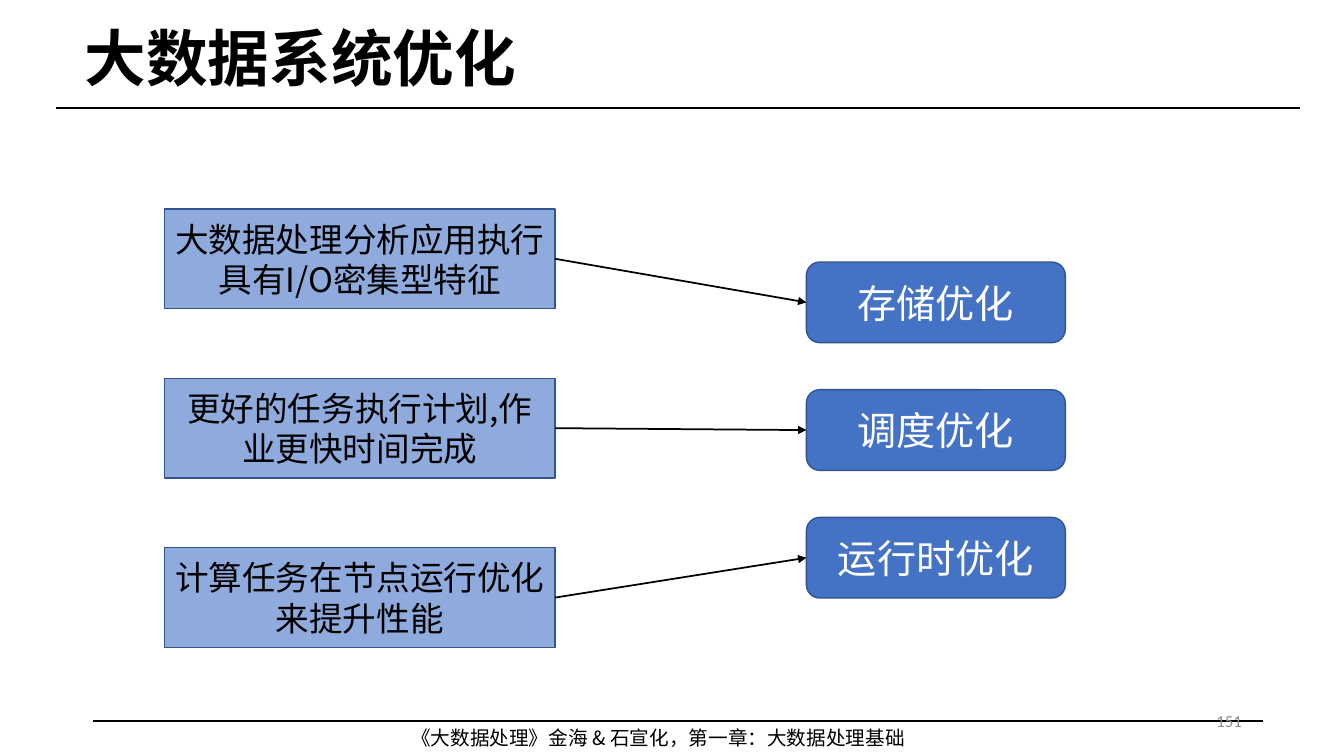
from dataclasses import dataclass

from lxml import etree
from pptx import Presentation
from pptx.dml.color import RGBColor
from pptx.enum import shapes, text
from pptx.oxml import ns
from pptx.util import Pt


@dataclass(frozen=True)
class Theme:
    ink: str = "000000"
    paper: str = "FFFFFF"
    need_fill: str = "8FAADC"
    goal_fill: str = "4472C4"
    border: str = "325491"
    muted: str = "8C8C8C"
    cjk: str = "Noto Sans CJK SC"
    title_font: str = "Arial"
    number_font: str = "Calibri"
    title_size: int = 44
    goal_size: int = 28
    need_size: int = 24
    footer_size: int = 14
    number_size: int = 12


theme = Theme()


def write(shape, words, size, color, align, font=theme.cjk, bold=False):
    """Put one wrapped, vertically centred paragraph into a shape."""
    frame = shape.text_frame
    frame.text = words
    frame.word_wrap = True
    frame.auto_size = text.MSO_AUTO_SIZE.NONE
    frame.vertical_anchor = text.MSO_ANCHOR.MIDDLE
    paragraph = frame.paragraphs[0]
    paragraph.alignment = align
    paragraph.font.size = Pt(size)
    paragraph.font.bold = bold
    paragraph.font.color.rgb = RGBColor.from_string(color)
    paragraph.font.name = font
    defaults = paragraph._p.pPr.find(ns.qn("a:defRPr"))
    etree.SubElement(defaults, ns.qn("a:ea"), typeface=theme.cjk)
    return paragraph


def add_line(x1, y1, x2, y2, width):
    line = slide.shapes.add_connector(
        shapes.MSO_CONNECTOR.STRAIGHT, Pt(x1), Pt(y1), Pt(x2), Pt(y2))
    line.line.color.rgb = RGBColor.from_string(theme.ink)
    line.line.width = Pt(width)
    etree.SubElement(line._element.spPr, ns.qn("a:effectLst"))
    return line


prs = Presentation()
prs.slide_width, prs.slide_height = Pt(960), Pt(540)
slide = prs.slides.add_slide(prs.slide_layouts[5])

# Title and footer
add_line(40.3, 77, 928.8, 77, 1.75)
add_line(66.2, 514.8, 902.2, 514.8, 1.25)

footer = slide.shapes.add_textbox(Pt(286.6), Pt(514.8), Pt(386.6), Pt(24.5))
write(footer, "《大数据处理》金海 & 石宣化，第一章：大数据处理基础",
      theme.footer_size, theme.ink, text.PP_ALIGN.LEFT)

title = slide.shapes.title
title.left, title.top, title.width, title.height = Pt(53.3), Pt(10.8), Pt(860.4), Pt(66.2)
heading = write(title, "大数据系统优化", theme.title_size, theme.ink,
                text.PP_ALIGN.LEFT, theme.title_font, bold=True)
heading.line_spacing = 0.9

# Each need on the left leads to an optimisation on the right
pairs = [
    ("大数据处理分析应用执行具有I/O密集型特征", "存储优化"),
    ("更好的任务执行计划,作业更快时间完成", "调度优化"),
    ("计算任务在节点运行优化来提升性能", "运行时优化"),
]
columns = [
    # preset, left, top, row step, width, height, fill, text size, text colour
    (shapes.MSO_SHAPE.RECTANGLE, 117.5, 149.2, 121, 279, 71.3,
     theme.need_fill, theme.need_size, theme.ink),
    (shapes.MSO_SHAPE.ROUNDED_RECTANGLE, 576, 187.2, 91.2, 185, 57.6,
     theme.goal_fill, theme.goal_size, theme.paper),
]
for row, pair in enumerate(pairs):
    boxes = []
    for words, column in zip(pair, columns):
        preset, left, top, step, width, height, fill, size, color = column
        box = slide.shapes.add_shape(
            preset, Pt(left), Pt(top + row * step), Pt(width), Pt(height))
        box.shadow.inherit = False
        box.fill.solid()
        box.fill.fore_color.rgb = RGBColor.from_string(fill)
        box.line.color.rgb = RGBColor.from_string(theme.border)
        box.line.width = Pt(1)
        write(box, words, size, color, text.PP_ALIGN.CENTER)
        boxes.append(box)
    need, goal = boxes
    arrow = add_line(0, 0, 0, 0, 1.25)
    arrow.begin_connect(need, 3)
    arrow.end_connect(goal, 1)
    etree.SubElement(arrow.line._get_or_add_ln(), ns.qn("a:tailEnd"), type="triangle")

page_number = slide.shapes.add_textbox(Pt(678.2), Pt(500.4), Pt(216), Pt(28.8))
write(page_number, "151", theme.number_size, theme.muted,
      text.PP_ALIGN.RIGHT, theme.number_font)

prs.save("out.pptx")
